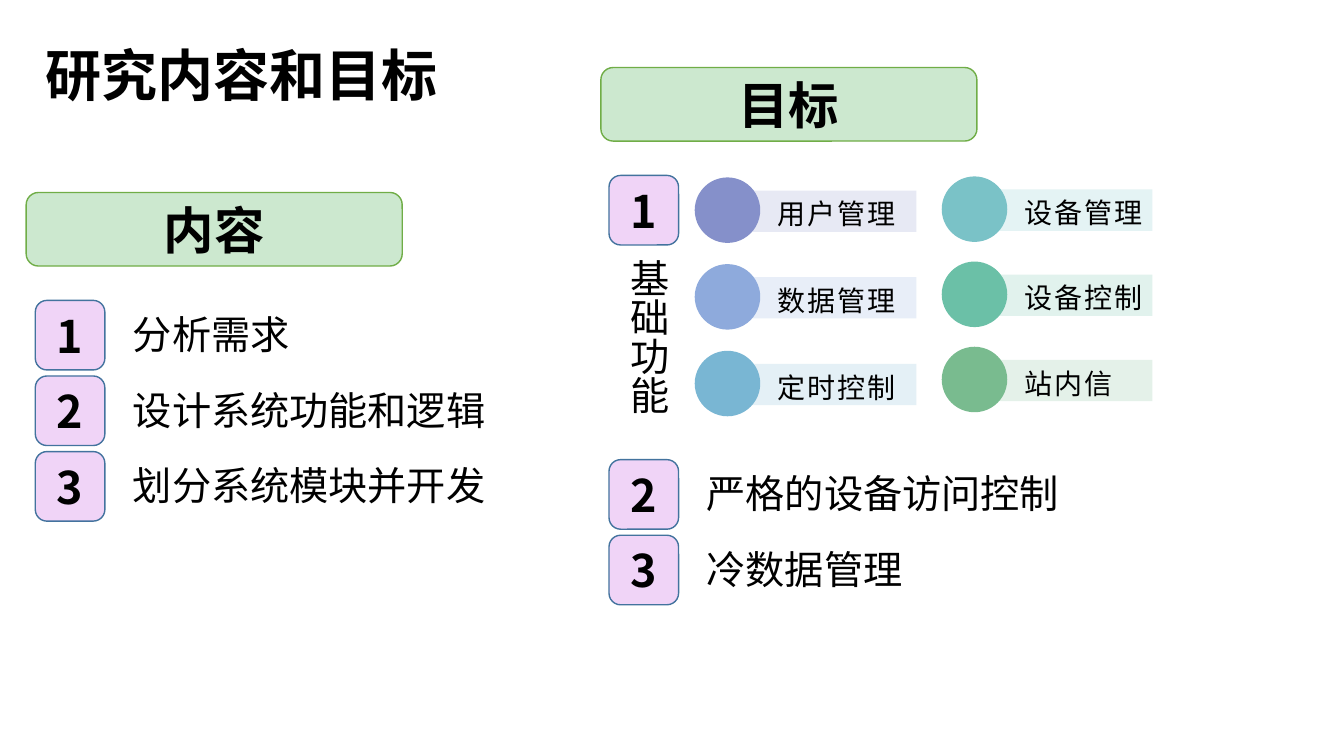
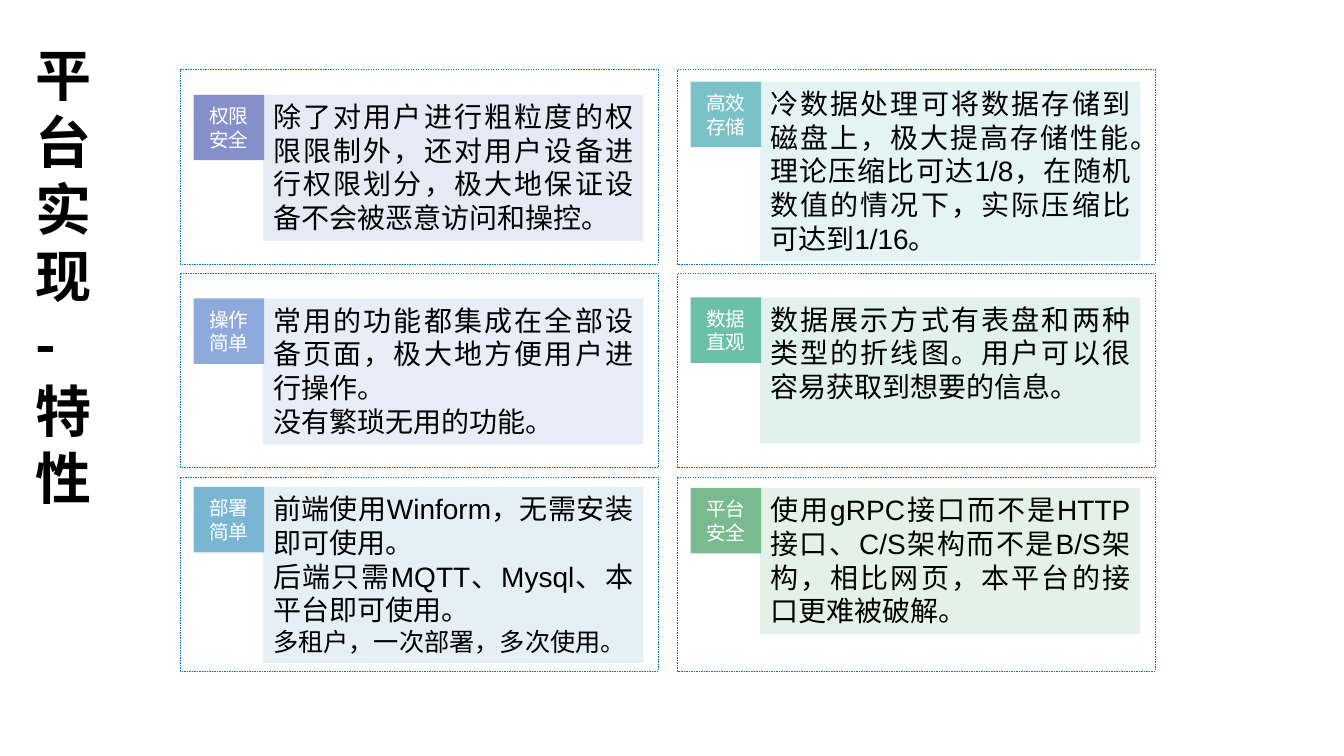
import pptx
import pptx.util
import pptx.dml.color
import pptx.enum.dml
import pptx.enum.shapes
import pptx.enum.text
import pptx.oxml.ns
from lxml import etree

SHAPE = pptx.enum.shapes.MSO_SHAPE
ALIGN = pptx.enum.text.PP_ALIGN
ANCHOR = pptx.enum.text.MSO_ANCHOR
SANS, LATIN = "Noto Sans CJK SC", "Arial"
COLORS = {
    "ink": "000000", "white": "FFFFFF",
    "banner": "CCE8CF", "banner_line": "70AD47",
    "badge": "F0D4F7", "badge_line": "43739E", "frame": "0070C0",
    "violet": "8590CA", "violet_pale": "E7E9F4",
    "blue": "8EAADC", "blue_pale": "E8EEF8",
    "sky": "79B6D3", "sky_pale": "E4F0F6",
    "teal": "7AC2C7", "teal_pale": "E4F3F4",
    "mint": "6BC0A7", "mint_pale": "E1F2ED",
    "green": "79BB8F", "green_pale": "E4F1E9",
}
BADGE = 0.69

FUNCTIONS = [
    # left, top, row pitch, bar width, entries
    (6.89, 1.76, 0.86, 1.88,
     [("用户管理", "violet"), ("数据管理", "blue"), ("定时控制", "sky")]),
    (9.34, 1.75, 0.845, 1.77,
     [("设备管理", "teal"), ("设备控制", "mint"), ("站内信", "green")]),
]

# column, row, inset from the frame's top, panel height, tag, hue, (text, size)
FEATURES = [
    (0, 0, 0.25, 1.45, ("权限", "安全"), "violet",
     [("除了对用户进行粗粒度的权限限制外，还对用户设备进行权限划分，"
       "极大地保证设备不会被恶意访问和操控。", 20)]),
    (0, 1, 0.25, 1.45, ("操作", "简单"), "blue",
     [("常用的功能都集成在全部设备页面，极大地方便用户进行操作。", 20),
      ("没有繁琐无用的功能。", 20)]),
    (0, 2, 0.1, 1.75, ("部署", "简单"), "sky",
     [("前端使用Winform，无需安装即可使用。", 20),
      ("后端只需MQTT、Mysql、本平台即可使用。", 20),
      ("多租户，一次部署，多次使用。", 18)]),
    (1, 0, 0.12, 1.78, ("高效", "存储"), "teal",
     [("冷数据处理可将数据存储到磁盘上，极大提高存储性能。理论压缩比可达1/8，"
       "在随机数值的情况下，实际压缩比可达到1/16。", 20)]),
    (1, 1, 0.24, 1.45, ("数据", "直观"), "mint",
     [("数据展示方式有表盘和两种类型的折线图。用户可以很容易获取到想要的信息。", 20)]),
    (1, 2, 0.11, 1.45, ("平台", "安全"), "green",
     [("使用gRPC接口而不是HTTP接口、C/S架构而不是B/S架构，相比网页，"
       "本平台的接口更难被破解。", 20)]),
]


def rgb(name):
    return pptx.dml.color.RGBColor.from_string(COLORS[name])


def inches(*lengths):
    return [pptx.util.Inches(v) for v in lengths]


def write(tf, lines, size, color="ink", bold=False, face=SANS,
          align=ALIGN.LEFT, anchor=ANCHOR.TOP, wrap=True, spacing=None, track=0):
    """Fill a text frame; each line is a string or a (string, size) pair."""
    tf.word_wrap = wrap
    tf.auto_size = pptx.enum.text.MSO_AUTO_SIZE.NONE
    tf.vertical_anchor = anchor
    for i, line in enumerate(lines):
        text, pt = line if isinstance(line, tuple) else (line, size)
        p = tf.paragraphs[0] if i == 0 else tf.add_paragraph()
        p.alignment = align
        if spacing:
            p.line_spacing = spacing
        r = p.add_run()
        r.text = text
        r.font.size = pptx.util.Pt(pt)
        r.font.bold = bold
        r.font.color.rgb = rgb(color)
        r.font.name = face
        rpr = r.font._element
        etree.SubElement(rpr, pptx.oxml.ns.qn("a:ea")).set("typeface", SANS)
        if track:
            rpr.set("spc", str(track))


def add_title(s, text, x, y, w, h):
    sp = s.shapes.title
    sp.left, sp.top, sp.width, sp.height = inches(x, y, w, h)
    write(sp.text_frame, [text], 40, bold=True)


def add_box(s, kind, x, y, w, h, fill=None, line=None, width=1):
    sp = s.shapes.add_shape(kind, *inches(x, y, w, h))
    sp.shadow.inherit = False
    if fill:
        sp.fill.solid()
        sp.fill.fore_color.rgb = rgb(fill)
    else:
        sp.fill.background()
    if line:
        sp.line.color.rgb = rgb(line)
        sp.line.width = pptx.util.Pt(width)
    else:
        sp.line.fill.background()
    return sp


def add_text(s, text, x, y, w, h, size, **style):
    tf = s.shapes.add_textbox(*inches(x, y, w, h)).text_frame
    write(tf, [text], size, **style)
    return tf


def add_banner(s, text, x, y):
    sp = add_box(s, SHAPE.ROUNDED_RECTANGLE, x, y, 3.73, 0.73, "banner", "banner_line")
    write(sp.text_frame, [text], 36, bold=True, align=ALIGN.CENTER, anchor=ANCHOR.MIDDLE)


def add_badge(s, number, x, y):
    sp = add_box(s, SHAPE.ROUNDED_RECTANGLE, x, y, BADGE, BADGE, "badge", "badge_line")
    write(sp.text_frame, [str(number)], 32, bold=True,
          align=ALIGN.CENTER, anchor=ANCHOR.MIDDLE)


def add_numbered(s, items, x, y, first=1):
    """Stack badges with their texts to the right."""
    for i, item in enumerate(items):
        top = y + i * 0.75
        add_badge(s, first + i, x, top)
        add_text(s, item, x + 0.87, top + 0.05, 3.7, 0.57, 28, wrap=False)


def add_function(s, text, hue, x, y, bar_width):
    add_box(s, SHAPE.RECTANGLE, x + 0.32, y + 0.13, bar_width, 0.41, hue + "_pale")
    add_box(s, SHAPE.OVAL, x, y, 0.65, 0.65, hue)
    add_text(s, text, x + 0.72, y + 0.14, 1.6, 0.37, 20, face=LATIN,
             anchor=ANCHOR.MIDDLE, spacing=1.2, track=150)


def add_feature(s, x, y, inset, height, tag, hue, lines):
    """Dashed frame with a coloured tag and a pale text panel."""
    panel = add_box(s, SHAPE.RECTANGLE, x + 0.82, y + inset, 3.77, height, hue + "_pale")
    write(panel.text_frame, lines, 20, face=LATIN, align=ALIGN.JUSTIFY)
    frame = add_box(s, SHAPE.FLOWCHART_PROCESS, x, y, 4.74, 1.93, line="frame", width=0.25)
    frame.line.dash_style = pptx.enum.dml.MSO_LINE.DASH
    label = add_box(s, SHAPE.RECTANGLE, x + 0.13, y + inset, 0.7, 0.65, hue)
    write(label.text_frame, tag, 14, "white", align=ALIGN.CENTER,
          anchor=ANCHOR.MIDDLE, wrap=False)


def build_goals(s):
    add_title(s, "研究内容和目标", 0.35, 0.35, 4.53, 0.77)
    add_banner(s, "内容", 0.26, 1.91)
    add_numbered(s, ["分析需求", "设计系统功能和逻辑", "划分系统模块并开发"], 0.35, 2.98)
    add_banner(s, "目标", 5.96, 0.67)
    add_badge(s, 1, 6.04, 1.74)
    tf = add_text(s, "基础功能", 6.05, 2.47, 0.67, 1.66, 28, wrap=False)
    tf._txBody.bodyPr.set("vert", "eaVert")
    add_numbered(s, ["严格的设备访问控制", "冷数据管理"], 6.04, 4.56, first=2)
    for x, y, pitch, bar_width, entries in FUNCTIONS:
        for row, (text, hue) in enumerate(entries):
            add_function(s, text, hue, x, y + row * pitch, bar_width)


def build_features(s):
    add_title(s, "平台实现-特性", 0.25, 0.35, 0.88, 4.8)
    for col, row, *feature in FEATURES:
        add_feature(s, 1.79 + col * 4.93, 0.69 + row * 2.02, *feature)


def main():
    prs = pptx.Presentation()
    prs.slide_width, prs.slide_height = inches(13.33, 7.5)
    for build in (build_goals, build_features):
        build(prs.slides.add_slide(prs.slide_layouts[5]))
    prs.save("out.pptx")


if __name__ == "__main__":
    main()
